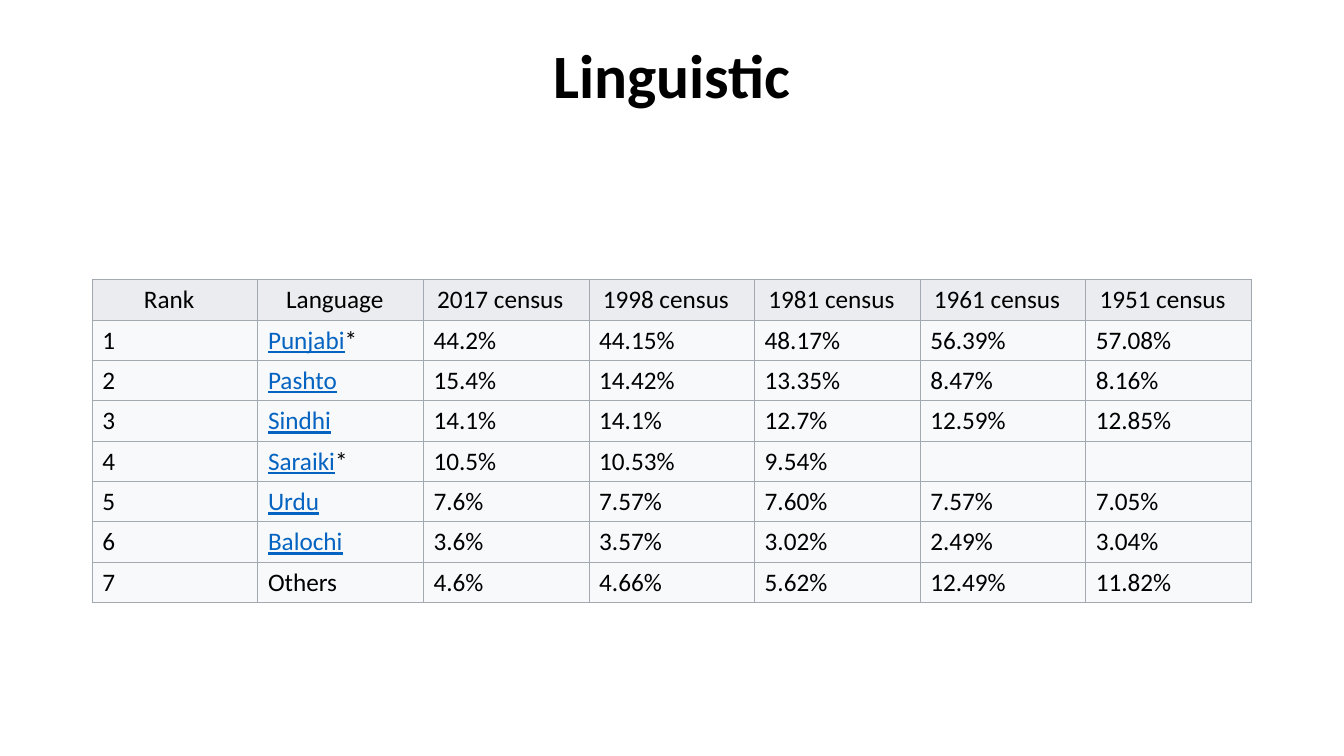
from dataclasses import dataclass

from lxml import etree
from pptx import Presentation
from pptx.dml.color import RGBColor
from pptx.enum.text import MSO_ANCHOR, PP_ALIGN
from pptx.oxml.ns import qn
from pptx.util import Pt

CENTER = PP_ALIGN.CENTER
LEFT = PP_ALIGN.LEFT
TOP = MSO_ANCHOR.TOP
MIDDLE = MSO_ANCHOR.MIDDLE
BORDER_SIDES = ("a:lnL", "a:lnR", "a:lnT", "a:lnB")

HEADERS = ["Rank", "Language", "2017 census", "1998 census", "1981 census",
           "1961 census", "1951 census"]
LANGUAGES = [
    ["1", "Punjabi*", "44.2%", "44.15%", "48.17%", "56.39%", "57.08%"],
    ["2", "Pashto", "15.4%", "14.42%", "13.35%", "8.47%", "8.16%"],
    ["3", "Sindhi", "14.1%", "14.1%", "12.7%", "12.59%", "12.85%"],
    ["4", "Saraiki*", "10.5%", "10.53%", "9.54%", "", ""],
    ["5", "Urdu", "7.6%", "7.57%", "7.60%", "7.57%", "7.05%"],
    ["6", "Balochi", "3.6%", "3.57%", "3.02%", "2.49%", "3.04%"],
    ["7", "Others", "4.6%", "4.66%", "5.62%", "12.49%", "11.82%"],
]
LANGUAGE_COLUMN = 1


@dataclass(frozen=True)
class Theme:
    font: str = "Calibri"
    title_size: float = 44
    table_size: float = 18
    border_width: float = 0.75
    text: str = "000000"
    link: str = "0563C1"
    border: str = "A2A9B1"
    header_fill: str = "EAECF0"
    body_fill: str = "F8F9FA"


class SlideBuilder:
    def __init__(self, slide, theme):
        self.slide = slide
        self.theme = theme

    def style(self, font, size, color, bold=False, underline=False):
        font.name = self.theme.font
        font.size = Pt(size)
        font.bold = bold
        font.underline = underline
        font.color.rgb = RGBColor.from_string(color)

    def title(self, text, left, top, width, height):
        shape = self.slide.shapes.add_textbox(Pt(left), Pt(top), Pt(width), Pt(height))
        text_frame = shape.text_frame
        text_frame.word_wrap = True
        text_frame.vertical_anchor = TOP
        text_frame.text = text
        paragraph = text_frame.paragraphs[0]
        paragraph.alignment = CENTER
        paragraph.line_spacing = 0.9
        self.style(paragraph.runs[0].font, self.theme.title_size, self.theme.text, bold=True)

    def borders(self, cell):
        properties = cell._tc.get_or_add_tcPr()
        for side in BORDER_SIDES:
            line = etree.SubElement(properties, qn(side), w=str(Pt(self.theme.border_width)))
            fill = etree.SubElement(line, qn("a:solidFill"))
            etree.SubElement(fill, qn("a:srgbClr"), val=self.theme.border)

    def cell(self, cell, text, fill, alignment=LEFT, linked=False):
        self.borders(cell)
        cell.fill.solid()
        cell.fill.fore_color.rgb = RGBColor.from_string(fill)
        cell.vertical_anchor = MIDDLE
        name, star, _ = text.partition("*")
        cell.text_frame.text = name
        paragraph = cell.text_frame.paragraphs[0]
        paragraph.alignment = alignment
        color = self.theme.link if linked else self.theme.text
        for run in paragraph.runs:
            self.style(run.font, self.theme.table_size, color, underline=linked)
        if star:
            run = paragraph.add_run()
            run.text = star
            self.style(run.font, self.theme.table_size, self.theme.text)

    def table(self, headers, rows, left, top, width, row_height):
        row_count = len(rows) + 1
        frame = self.slide.shapes.add_table(
            row_count, len(headers), Pt(left), Pt(top), Pt(width), Pt(row_height * row_count))
        table = frame.table
        table.first_row = False
        table.horz_banding = False
        for column in table.columns:
            column.width = Pt(width / len(headers))
        for row in table.rows:
            row.height = Pt(row_height)
        for index, header in enumerate(headers):
            cell = table.cell(0, index)
            self.cell(cell, header, self.theme.header_fill, CENTER)
            cell.margin_right = Pt(15.75)
        for row_index, values in enumerate(rows, 1):
            for index, value in enumerate(values):
                linked = index == LANGUAGE_COLUMN and value != "Others"
                self.cell(table.cell(row_index, index), value, self.theme.body_fill, linked=linked)


def main():
    presentation = Presentation()
    presentation.slide_width = Pt(960)
    presentation.slide_height = Pt(540)
    slide = presentation.slides.add_slide(presentation.slide_layouts[6])
    builder = SlideBuilder(slide, Theme())
    builder.title("Linguistic", 66, 28.75, 828, 104.4)
    builder.table(HEADERS, LANGUAGES, 66, 199.85, 828, 28.8)
    presentation.save("out.pptx")


if __name__ == "__main__":
    main()
